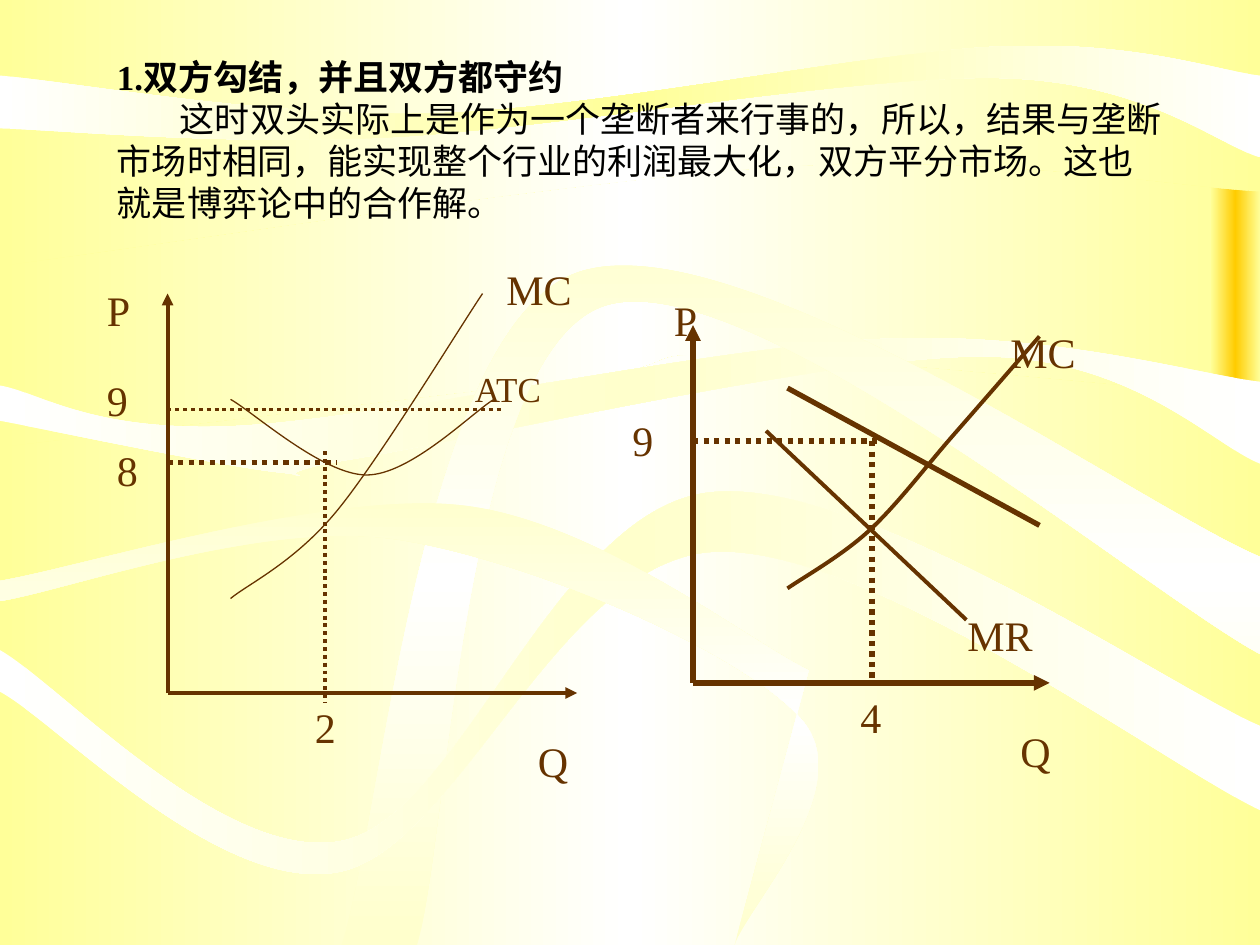
from copy import deepcopy

from lxml.etree import SubElement
from pptx import Presentation
from pptx.dml.color import RGBColor
from pptx.enum.dml import MSO_LINE
from pptx.enum.shapes import MSO_CONNECTOR, MSO_SHAPE
from pptx.enum.text import MSO_ANCHOR
from pptx.oxml.ns import qn
from pptx.util import Inches, Pt

THEME = {
    "font": "Times New Roman", "text": "000000", "ink": "663300",
    "body": 20, "label": 24, "small": 20,
    "thin": 0.75, "medium": 2.25, "thick": 3,
}
YELLOW, CREAM, WHITE, GOLD = "FFFF99", "FFFFCC", "FFFFFF", "FFCC00"
WIDTH, HEIGHT = 10, 7.5

HEADING = "1.双方勾结，并且双方都守约"
BODY = ("这时双头实际上是作为一个垄断者来行事的，所以，结果与垄断市场时相同，"
        "能实现整个行业的利润最大化，双方平分市场。这也就是博弈论中的合作解。")

RIBBONS = [
    (YELLOW, WHITE, 0, [(0, 0), (WIDTH, 0)],
     [(WIDTH, 1.52), (6.25, 1.32), (0, 2.11)]),
    (YELLOW, WHITE, 0, [(0, 3.55), (4.58, 3.01), (5.86, 2.82), (WIDTH, 3.16)],
     [(WIDTH, HEIGHT), (0, HEIGHT)]),
    (WHITE, YELLOW, 0, [(0, 0.6), (3.45, 0.9), (7.92, 0.37), (WIDTH, 0.6)],
     [(WIDTH, 1.25), (7.94, 0.62), (3.08, 1.09), (0, 1.02)]),
    (WHITE, CREAM, 0, [(0, 3.06), (1.9, 3.38), (7.01, 2.69), (WIDTH, 3.03)],
     [(WIDTH, 3.68), (7.8, 2.83), (2.82, 3.64), (2.22, 3.75), (0, 3.34)]),
    (CREAM, WHITE, 90, [(2.71, HEIGHT), (4.54, 2.18), (WIDTH, 4.42)],
     [(WIDTH, 5.19), (4.79, 2.43), (3.31, HEIGHT)]),
    (WHITE, CREAM, 0, [(0, 5.16), (2.73, 6.67), (5.62, 3.91), (WIDTH, 5.76)],
     [(WIDTH, 6.43), (5.65, 4.38), (2.69, 6.92), (0, 5.49)]),
    (CREAM, WHITE, 90, [(0, 4.61), (3.66, 4.01), (6.42, 5.32)],
     [(5.83, HEIGHT), (6.37, 5.72), (3.14, 4.28), (0, 4.77)]),
]

PANELS = [
    {"origin": (1.33, 5.5), "top": 2.33, "right": 4.58, "axis": "medium",
     "prices": [(3.25, 4, "medium"), (3.67, 2.67, "thick")],
     "quantity": (2.58, 3.58, 5.58, "medium"),
     "lines": [],
     "curves": [("thin", [(1.83, 3.17), (2.91, 3.77), (3.92, 3.17)]),
                ("thin", [(1.83, 4.75), (2.67, 4.06), (3.83, 2.33)])],
     "labels": [("P", 0.75, 2.17), ("9", 0.75, 2.88), ("8", 0.83, 3.44),
                ("2", 2.4, 5.48), ("Q", 4.17, 5.75), ("MC", 3.92, 2),
                ("ATC", 3.67, 2.83)]},
    {"origin": (5.5, 5.42), "top": 2.58, "right": 8.33, "axis": "thick",
     "prices": [(3.5, 7, "thick")],
     "quantity": (6.92, 3.5, 5.42, "thick"),
     "lines": [(6.25, 3.08, 8.25, 4.17, "thick"), (6.08, 3.42, 7.67, 4.92, "medium")],
     "curves": [("medium", [(6.25, 4.67), (6.9, 4.21), (7.57, 3.45), (8.25, 2.67)])],
     "labels": [("P", 5.25, 2.25), ("9", 4.92, 3.2), ("4", 6.73, 5.4),
                ("Q", 8, 5.67), ("MC", 7.92, 2.5), ("MR", 7.58, 4.75)]},
]


def rgb(code):
    return RGBColor.from_string(code)


def set_gradient(fill, element, edge, middle, angle=0):
    fill.gradient()
    fill.gradient_angle = angle
    gs_list = element.find(".//" + qn("a:gsLst"))
    gs_list.insert(1, deepcopy(gs_list[0]))
    for stop, pos, color in zip(fill.gradient_stops, (0, 0.5, 1), (edge, middle, edge)):
        stop.position = pos
        stop.color.rgb = rgb(color)


def smooth(points):
    padded = [points[0], *points, points[-1]]
    segments = []
    for a, b, c, d in zip(padded, padded[1:], padded[2:], padded[3:]):
        leave = tuple(q + (r - p) / 6 for p, q, r in zip(a, b, c))
        arrive = tuple(r - (t - q) / 6 for q, r, t in zip(b, c, d))
        segments.append([leave, arrive, c])
    return segments


def add_curve(s, start, segments, close):
    points = [(Inches(x), Inches(y)) for seg in segments for x, y in seg]
    builder = s.shapes.build_freeform(*map(Inches, start))
    builder.add_line_segments(points, close=close)
    sp = builder.convert_to_shape()
    sp.shadow.inherit = False
    outline = sp.element.find(".//" + qn("a:path"))
    steps = iter(outline.findall(qn("a:lnTo")))
    for seg in segments:
        group = [next(steps) for _ in seg]
        if len(group) == 3:
            bezier = SubElement(outline, qn("a:cubicBezTo"))
            group[0].addprevious(bezier)
            for step in group:
                bezier.append(step[0])
                outline.remove(step)
    return sp


def style_line(line, weight):
    line.color.rgb = rgb(THEME["ink"])
    line.width = Pt(THEME[weight])


def add_line(s, x1, y1, x2, y2, weight, dotted=False, arrow=False):
    cn = s.shapes.add_connector(MSO_CONNECTOR.STRAIGHT, *map(Inches, (x1, y1, x2, y2)))
    style_line(cn.line, weight)
    if dotted:
        cn.line.dash_style = MSO_LINE.ROUND_DOT
    sp_pr = cn.element.spPr
    if arrow:
        SubElement(sp_pr.find(qn("a:ln")), qn("a:tailEnd"), type="triangle")
    SubElement(sp_pr, qn("a:effectLst"))


def add_text_box(s, x, y, w, h):
    tf = s.shapes.add_textbox(*map(Inches, (x, y, w, h))).text_frame
    tf.word_wrap = True
    return tf


def add_run(p, text, size, color, bold=False):
    r = p.add_run()
    r.text = text
    r.font.name = THEME["font"]
    r.font.size = Pt(THEME[size])
    r.font.bold = bold
    r.font.color.rgb = rgb(THEME[color])


def add_panel(s, panel):
    x0, y0 = panel["origin"]
    add_line(s, x0, y0, x0, panel["top"], panel["axis"], arrow=True)
    add_line(s, x0, y0, panel["right"], y0, panel["axis"], arrow=True)
    for line in panel["lines"]:
        add_line(s, *line)
    for y, end, weight in panel["prices"]:
        add_line(s, x0, y, end, y, weight, dotted=True)
    x, top, bottom, weight = panel["quantity"]
    add_line(s, x, top, x, bottom, weight, dotted=True)
    for weight, points in panel["curves"]:
        sp = add_curve(s, points[0], smooth(points), False)
        sp.fill.background()
        style_line(sp.line, weight)
    for text, x, y in panel["labels"]:
        tf = add_text_box(s, x, y, 0.42 + 0.17 * len(text), 0.5)
        tf.margin_top = Inches(0.09)
        add_run(tf.paragraphs[0], text, "small" if text == "ATC" else "label", "ink")


def main():
    prs = Presentation()
    prs.slide_width, prs.slide_height = Inches(WIDTH), Inches(HEIGHT)
    s = prs.slides.add_slide(prs.slide_layouts[6])
    set_gradient(s.background.fill, s.element, YELLOW, WHITE)

    tab = s.shapes.add_shape(MSO_SHAPE.RECTANGLE, *map(Inches, (9.61, 0.49, 0.39, 3.45)))
    tab.shadow.inherit = False
    tab.line.fill.background()
    set_gradient(tab.fill, tab.element, YELLOW, GOLD)
    for edge, middle, angle, upper, lower in RIBBONS:
        segments = smooth(upper) + [[lower[0]]] + smooth(lower)
        sp = add_curve(s, upper[0], segments, True)
        sp.line.fill.background()
        set_gradient(sp.fill, sp.element, edge, middle, angle)

    tf = add_text_box(s, 0.83, 0.5, 8.5, 1.21)
    tf.vertical_anchor = MSO_ANCHOR.MIDDLE
    add_run(tf.paragraphs[0], HEADING, "body", "text", True)
    p = tf.add_paragraph()
    p._p.get_or_add_pPr().set("indent", str(Inches(0.5)))
    add_run(p, BODY, "body", "text")

    for panel in PANELS:
        add_panel(s, panel)
    prs.save("out.pptx")


if __name__ == "__main__":
    main()
